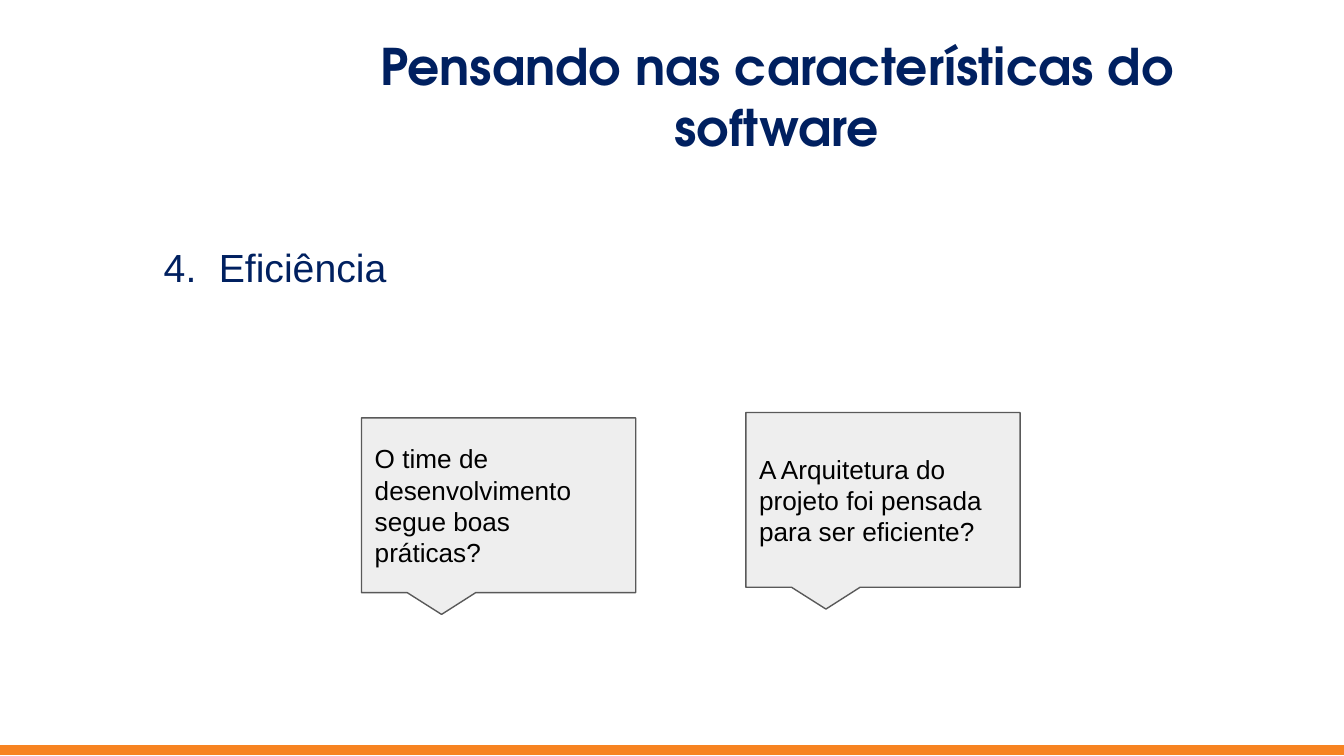
from dataclasses import dataclass

from pptx import Presentation
from pptx.dml.color import RGBColor
from pptx.enum.shapes import MSO_SHAPE
from pptx.enum.text import MSO_ANCHOR, MSO_AUTO_SIZE, PP_ALIGN
from pptx.shapes.autoshape import Shape
from pptx.slide import Slide
from pptx.text.text import TextFrame
from pptx.util import Inches, Pt

RECT = MSO_SHAPE.RECTANGLE
CALLOUT = MSO_SHAPE.RECTANGULAR_CALLOUT
MIDDLE, TOP = MSO_ANCHOR.MIDDLE, MSO_ANCHOR.TOP
LEFT, CENTER = PP_ALIGN.LEFT, PP_ALIGN.CENTER
NO_AUTOFIT = MSO_AUTO_SIZE.NONE
TITLE_ONLY = 5


@dataclass(frozen=True)
class Theme:
    navy: RGBColor = RGBColor.from_string("002060")
    orange: RGBColor = RGBColor.from_string("F78321")
    gray: RGBColor = RGBColor.from_string("EEEEEE")
    outline: RGBColor = RGBColor.from_string("595959")
    black: RGBColor = RGBColor.from_string("000000")
    title_font: str = "TeX Gyre Adventor"
    body_font: str = "Arial"
    title_size: int = 27
    topic_size: int = 21
    question_size: int = 14
    line_width: float = 0.75


@dataclass(frozen=True)
class Question:
    text: str
    left: float
    top: float


THEME = Theme()
QUESTIONS = (
    Question("O time de desenvolvimento segue boas práticas?", 2.69, 3.11),
    Question("A Arquitetura do projeto foi pensada para ser eficiente?", 5.55, 3.07),
)


def set_text(tf: TextFrame, text: str, font: str, size: int, color: RGBColor,
             align: PP_ALIGN = LEFT, anchor: MSO_ANCHOR = MIDDLE, bold: bool = False) -> None:
    tf.word_wrap = True
    tf.auto_size = NO_AUTOFIT
    tf.vertical_anchor = anchor
    tf.margin_left = tf.margin_right = tf.margin_top = tf.margin_bottom = Inches(0.1)
    tf.text = text
    p = tf.paragraphs[0]
    p.alignment = align
    p.font.name = font
    p.font.size = Pt(size)
    p.font.bold = bold
    p.font.color.rgb = color


def add_box(s: Slide, kind: MSO_SHAPE, left: float, top: float, width: float,
            height: float, fill: RGBColor, line: RGBColor) -> Shape:
    sp = s.shapes.add_shape(kind, Inches(left), Inches(top), Inches(width), Inches(height))
    sp.shadow.inherit = False
    sp.fill.solid()
    sp.fill.fore_color.rgb = fill
    sp.line.color.rgb = line
    sp.line.width = Pt(THEME.line_width)
    return sp


def add_title(s: Slide, text: str) -> None:
    sp = s.shapes.title
    sp.left, sp.top, sp.width, sp.height = map(Inches, (2.29, 0.16, 6.98, 1.11))
    set_text(sp.text_frame, text, THEME.title_font, THEME.title_size, THEME.navy,
             align=CENTER, bold=True)


def add_topic(s: Slide, number: int, text: str) -> None:
    """Add a numbered item whose text starts at a hanging indent."""
    sp = s.shapes.add_textbox(Inches(1.12), Inches(1.71), Inches(8.2), Inches(1.23))
    tf = sp.text_frame
    set_text(tf, f"{number}.\t{text}", THEME.body_font, THEME.topic_size, THEME.navy,
             anchor=TOP)
    pPr = tf.paragraphs[0]._p.get_or_add_pPr()
    indent = Inches(0.41)
    pPr.set("marL", str(indent))
    pPr.set("indent", str(-indent))


def add_question(s: Slide, question: Question) -> None:
    sp = add_box(s, CALLOUT, question.left, question.top, 2.04, 1.3,
                 THEME.gray, THEME.outline)
    sp.adjustments[0], sp.adjustments[1] = -0.208, 0.625
    set_text(sp.text_frame, question.text, THEME.body_font, THEME.question_size, THEME.black)


def main() -> None:
    prs = Presentation()
    prs.slide_width = Inches(10)
    prs.slide_height = prs.slide_width * 9 // 16
    s = prs.slides.add_slide(prs.slide_layouts[TITLE_ONLY])
    add_title(s, "Pensando nas características do software")
    add_box(s, RECT, 0, 5.55, 10, 0.06, THEME.orange, THEME.orange)
    add_topic(s, 4, "Eficiência")
    for question in QUESTIONS:
        add_question(s, question)
    prs.save("out.pptx")


if __name__ == "__main__":
    main()
